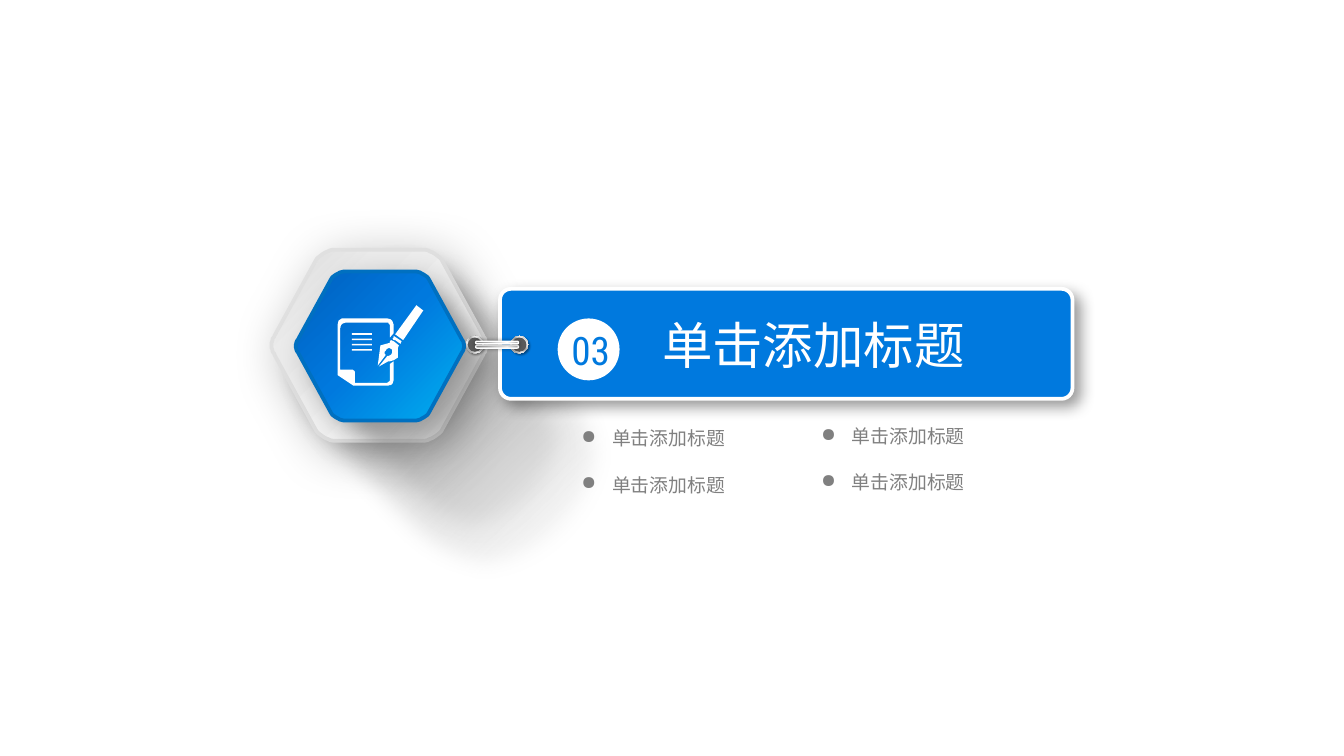
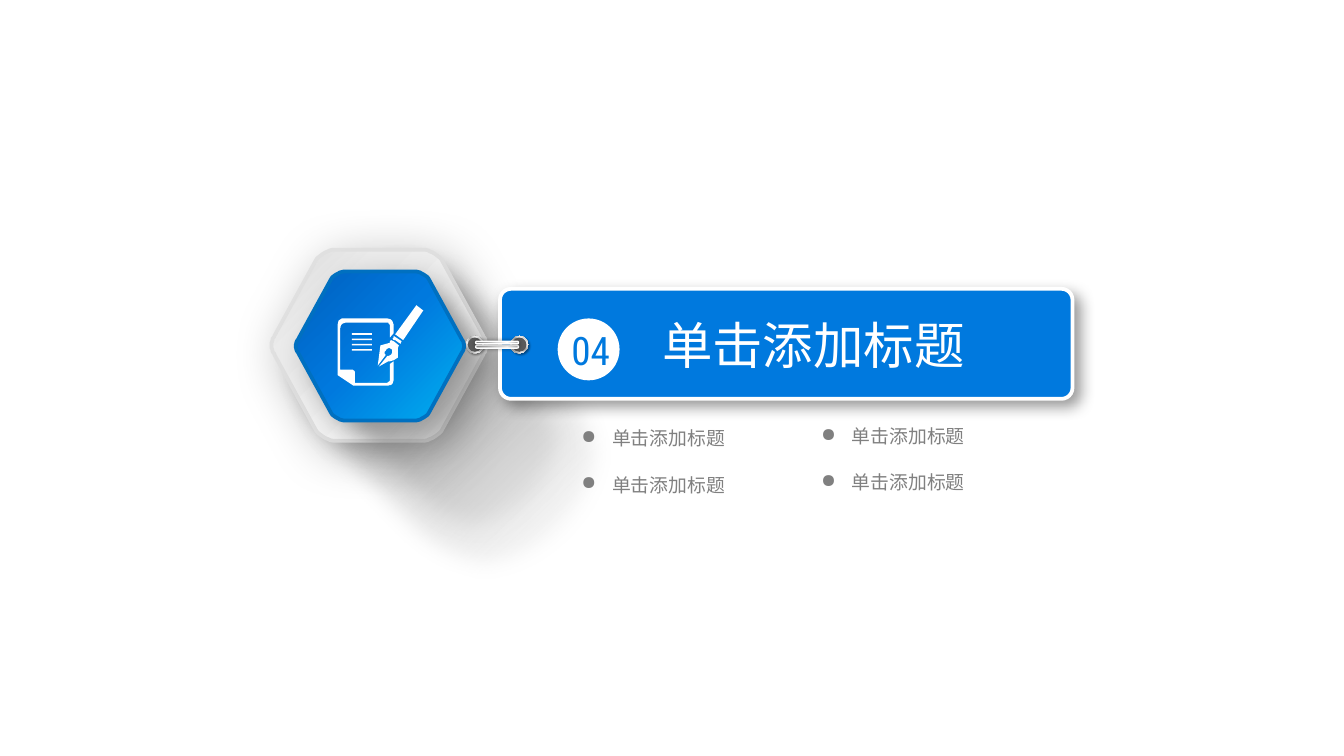
from dataclasses import dataclass
from typing import Any

from lxml import etree
from pptx import Presentation
from pptx.dml.color import RGBColor
from pptx.enum.shapes import MSO_SHAPE
from pptx.enum.text import MSO_AUTO_SIZE, PP_ALIGN
from pptx.oxml.ns import qn
from pptx.util import Cm, Pt

ROUND, OVAL, RECT = MSO_SHAPE.ROUNDED_RECTANGLE, MSO_SHAPE.OVAL, MSO_SHAPE.RECTANGLE
GROW = MSO_AUTO_SIZE.SHAPE_TO_FIT_TEXT
LEFT, CENTER = PP_ALIGN.LEFT, PP_ALIGN.CENTER

COLORS = {
    "white": "FFFFFF", "black": "000000", "blue": "0079DE", "navy": "0060BF",
    "edge": "0070C0", "sky": "00B0F0", "rim": "E0E0E0", "pale": "ECECEC",
    "light": "D9D9D9", "haze": "D8D8D8", "shine": "F2F2F2", "steel": "A6A6A6",
    "gray": "808080", "smoke": "6C6C6C", "dark": "595959",
}
SANS, NARROW = "Noto Sans CJK SC", "Roboto Condensed"
TITLE = "单击添加标题"


@dataclass
class Box:
    """Place and size in centimetres."""
    x: float
    y: float
    w: float
    h: float

    def emu(self) -> tuple:
        return Cm(self.x), Cm(self.y), Cm(self.w), Cm(self.h)


@dataclass
class Stop:
    """Gradient stop: position and opacity in percent."""
    pos: int
    color: str
    alpha: int = 100


@dataclass
class Blend:
    stops: list[Stop]
    angle: int = 45


@dataclass
class Shade:
    """Drop shadow: opacity in percent, blur and distance in points."""
    alpha: int
    blur: int
    dist: int
    angle: int = 45


@dataclass
class Look:
    fill: str | Blend
    line: str | Blend | None = None
    width: float = 2
    shade: Shade | None = None
    soft: int = 0
    turn: int = 0


@dataclass
class Type:
    size: float
    font: str
    color: str
    align: Any = CENTER
    wrap: bool = True
    bullet: str = ""


def steps(*pairs: tuple) -> list[Stop]:
    return [Stop(*pair) for pair in pairs]


# Looks
PLAIN = Look("white")
HOLE = Look("dark", turn=270)
RING = Look(Blend(steps((0, "white"), (17, "steel"), (35, "shine"), (55, "steel"),
                        (75, "shine"), (100, "steel"))),
            shade=Shade(40, 1, 1), turn=270)
PIN = Look(Blend(steps((0, "gray"), (23, "steel"), (52, "light"), (74, "white"),
                       (100, "steel")), 90),
           "white", 0.75, Shade(40, 2, 0, 0), turn=270)
BANNER = Look("blue", "white", shade=Shade(40, 8, 4))
CAST = Look(Blend(steps((0, "black", 54), (33, "smoke", 42), (100, "haze", 0)), 0),
            soft=12, turn=46)
INNER = Look(Blend(steps((0, "black", 61), (37, "smoke", 50), (100, "haze", 0)), 0),
             soft=12, turn=46)
FRAME = Look(Blend(steps((0, "white"), (73, "pale"), (100, "light"))),
             "rim", shade=Shade(28, 28, 7), turn=180)
CORE = Look(Blend(steps((0, "sky"), (52, "blue"), (100, "navy"))),
            Blend(steps((0, "sky"), (50, "edge"), (100, "edge"))),
            shade=Shade(25, 20, 9), turn=180)

# Text styles
HEAD = Type(27, SANS, "white")
COUNT = Type(21, NARROW, "blue")
ITEM = Type(10.1, SANS, "gray", LEFT, False, "●")

# Icon outlines in 0.1 mm: two numbers are a corner, six are a curve
BARREL = [(787, 577), (747, 632), (762, 643), (800, 587)]
COLLAR = [(744, 638), (742, 640), (744, 643), (747, 643), (757, 650), (759, 645),
          (744, 635)]
NIB = [(739, 643), (737, 645), (737, 648), (719, 653), (714, 691), (729, 671),
       (726, 668, 726, 665, 729, 663), (732, 658, 734, 658, 737, 658), (739, 660),
       (742, 660, 742, 665, 739, 671), (737, 671), (737, 673, 734, 673, 732, 673),
       (716, 693), (734, 683), (737, 683), (744, 681), (752, 676), (752, 658),
       (754, 653), (744, 645)]
PAGE = [(737, 714), (737, 714, 739, 724, 729, 724), (671, 724), (671, 704),
        (671, 704, 671, 699, 665, 699), (643, 699), (643, 622),
        (643, 622, 643, 610, 653, 610), (732, 610),
        (732, 610, 737, 610, 737, 617), (737, 638), (744, 630), (744, 615),
        (744, 615, 744, 602, 732, 602), (653, 602),
        (653, 602, 638, 599, 638, 615), (638, 709), (668, 729), (732, 729),
        (732, 729, 744, 729, 744, 719), (744, 683), (737, 688)]

# Upper right quarter of a rounded hexagon with half axes of 1
QUARTER = [(0.41, -1), (0.46, -1, 0.54, -0.96, 0.58, -0.9), (0.97, -0.1),
           (0.99, -0.07, 1, -0.03, 1, 0)]


def trace(nodes: list[tuple], parts: int = 8) -> list[tuple]:
    """Turn corners and cubic curves into points."""
    points: list[tuple] = []
    for node in nodes:
        if len(node) == 2:
            points.append(node)
            continue
        ends = [points[-1], node[:2], node[2:4], node[4:]]
        for k in range(1, parts + 1):
            t = k / parts
            mix = ((1 - t) ** 3, 3 * t * (1 - t) ** 2, 3 * t * t * (1 - t), t ** 3)
            points.append(tuple(sum(m * p[i] for m, p in zip(mix, ends))
                                for i in (0, 1)))
    return points


def shift(fill: Any, holder: Any, blend: Blend) -> None:
    """Set a gradient on a fill whose XML sits in holder."""
    fill.gradient()
    grad = holder.find(qn("a:gradFill"))
    grad.clear()
    grad.set("rotWithShape", "1")
    stops = etree.SubElement(grad, qn("a:gsLst"))
    for stop in blend.stops:
        mark = etree.SubElement(stops, qn("a:gs"), pos=str(stop.pos * 1000))
        tint(mark, stop.color, stop.alpha)
    etree.SubElement(grad, qn("a:lin"), ang=str(blend.angle * 60000), scaled="0")


def tint(node: Any, color: str, alpha: int) -> None:
    tone = etree.SubElement(node, qn("a:srgbClr"), val=COLORS[color])
    if alpha < 100:
        etree.SubElement(tone, qn("a:alpha"), val=str(alpha * 1000))


def paint(fill: Any, holder: Any, color: str | Blend) -> None:
    if isinstance(color, Blend):
        shift(fill, holder, color)
    else:
        fill.solid()
        fill.fore_color.rgb = RGBColor.from_string(COLORS[color])


def dress(shape: Any, look: Look) -> None:
    """Give a shape its fill, line, turn and effects."""
    props = shape._element.spPr
    paint(shape.fill, props, look.fill)
    if look.line is None:
        shape.line.fill.background()
    else:
        shape.line.width = Pt(look.width)
        paint(shape.line.fill, props.find(qn("a:ln")), look.line)
    shape.rotation = look.turn
    shape.shadow.inherit = False
    effects = props.find(qn("a:effectLst"))
    if look.shade:
        shade = look.shade
        drop = etree.SubElement(
            effects, qn("a:outerShdw"), blurRad=str(Pt(shade.blur)),
            dist=str(Pt(shade.dist)), dir=str(shade.angle * 60000),
            algn="ctr", rotWithShape="0")
        tint(drop, "black", shade.alpha)
    if look.soft:
        etree.SubElement(effects, qn("a:softEdge"), rad=str(Pt(look.soft)))


def draw(shapes: Any, kind: Any, box: Box, look: Look, bend: float = 0.5) -> None:
    shape = shapes.add_shape(kind, *box.emu())
    if kind == ROUND:
        shape.adjustments[0] = bend
    dress(shape, look)


def shape_out(shapes: Any, points: list[tuple], look: Look) -> None:
    """Draw a closed outline given in 0.1 mm."""
    pen = shapes.build_freeform(*points[0], scale=Cm(0.01))
    pen.add_line_segments(points[1:], close=True)
    dress(pen.convert_to_shape(), look)


def hexagon(shapes: Any, box: Box, look: Look) -> None:
    right = trace(QUARTER)
    right += [(x, -y) for x, y in reversed(right)]
    ring = right + [(-x, -y) for x, y in right]
    shape_out(shapes, [(100 * (box.x + box.w * (1 + x) / 2),
                        100 * (box.y + box.h * (1 + y) / 2)) for x, y in ring], look)


def write(shapes: Any, box: Box, text: str, style: Type) -> None:
    frame = shapes.add_textbox(*box.emu()).text_frame
    frame.text = text
    frame.word_wrap = style.wrap
    frame.auto_size = GROW
    para = frame.paragraphs[0]
    para.alignment = style.align
    font = para.runs[0].font
    font.size, font.name = Pt(style.size), style.font
    font.color.rgb = RGBColor.from_string(COLORS[style.color])
    etree.SubElement(font._element, qn("a:ea"), typeface=style.font)
    if style.bullet:
        props = para._p.get_or_add_pPr()
        props.set("marL", str(Cm(0.58)))
        props.set("indent", str(-Cm(0.58)))
        etree.SubElement(props, qn("a:buChar"), char=style.bullet)


def section(deck: Any, number: str) -> None:
    shapes = deck.slides.add_slide(deck.slide_layouts[6]).shapes

    def group() -> Any:
        return shapes.add_group_shape().shapes

    # Hexagon badge with its long shadows
    badge = group()
    draw(badge, ROUND, Box(4.83, 5.31, 7.19, 4.95), CAST)
    hexagon(badge, Box(5.13, 4.72, 4.06, 3.61), FRAME)
    draw(badge, ROUND, Box(5.23, 5.64, 6.1, 3.99), INNER)
    hexagon(badge, Box(5.59, 5.13, 3.18, 2.82), CORE)

    # Banner, hooked to the badge by two rivets and two pins
    draw(shapes, ROUND, Box(9.45, 5.46, 10.82, 2.08), BANNER, 0.1)
    for x in (9.65, 8.81):
        rivet = group()
        draw(rivet, OVAL, Box(x, 6.35, 0.33, 0.33), RING)
        draw(rivet, OVAL, Box(x + 0.03, 6.38, 0.27, 0.27), HOLE)
    pins = group()
    for y in (6.15, 6.07):
        draw(pins, ROUND, Box(9.37, y, 0.05, 0.81), PIN)
    write(shapes, Box(11.71, 5.82, 7.32, 1.42), TITLE, HEAD)

    # Pen and page icon
    icon = group()
    for nodes in (BARREL, COLLAR, NIB):
        shape_out(icon, trace(nodes), PLAIN)
    for row in range(4):
        draw(icon, RECT, Box(6.65, 6.6 - 0.1 * row, 0.38, 0.03), PLAIN)
    shape_out(icon, trace(PAGE), PLAIN)

    # Section number
    disc = group()
    draw(disc, OVAL, Box(10.54, 6.02, 1.17, 1.17), PLAIN)
    write(disc, Box(10.49, 6.05, 1.35, 1.14), number, COUNT)

    # Topics in two columns
    for row in range(2):
        for x, y in ((10.74, 7.95), (15.27, 7.9)):
            write(shapes, Box(x, y + 0.87 * row, 3.28, 0.69), TITLE, ITEM)


def main() -> None:
    deck = Presentation()
    deck.slide_width, deck.slide_height = Cm(25.4), Cm(14.29)
    for number in ("03", "04"):
        section(deck, number)
    deck.save("out.pptx")


if __name__ == "__main__":
    main()
